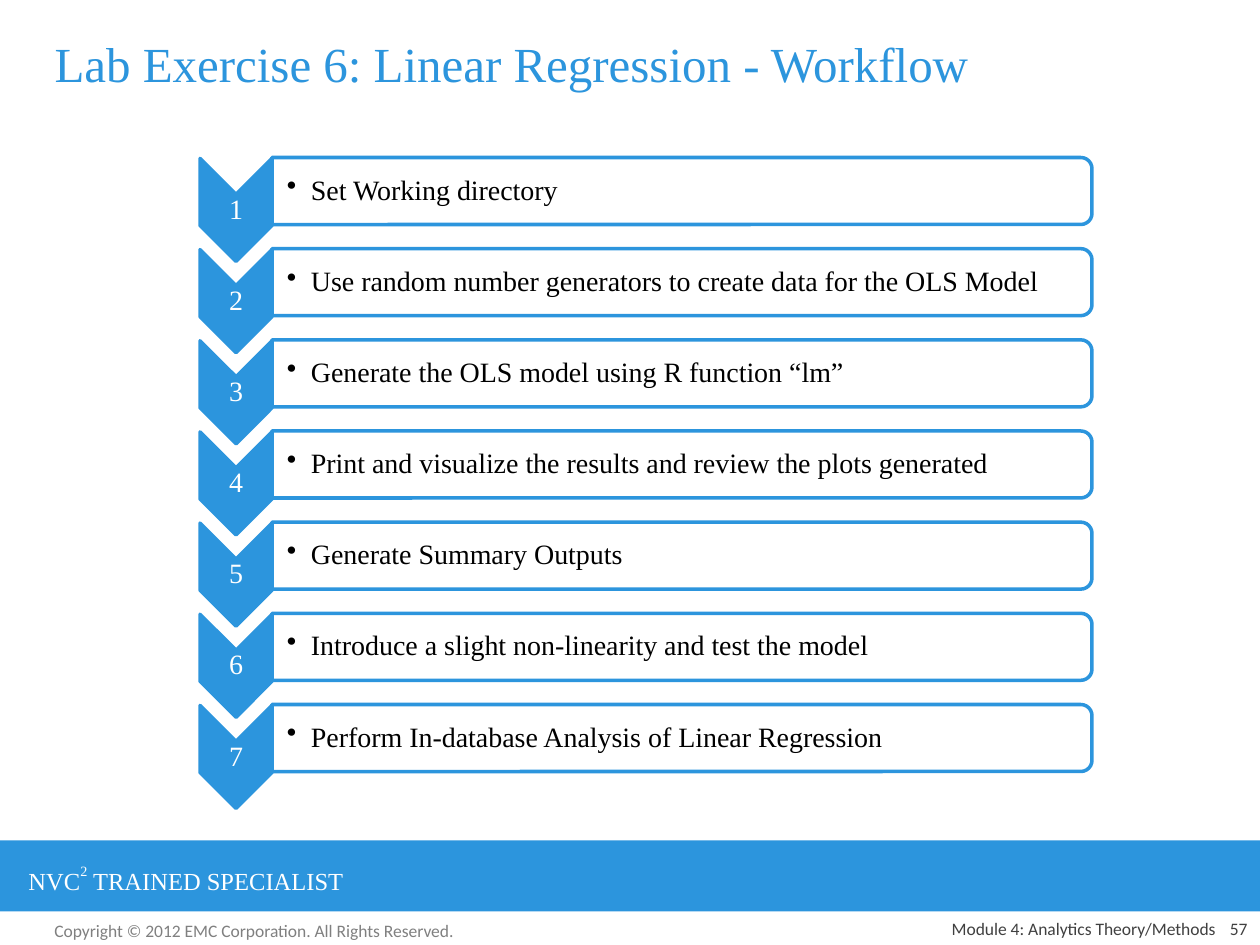
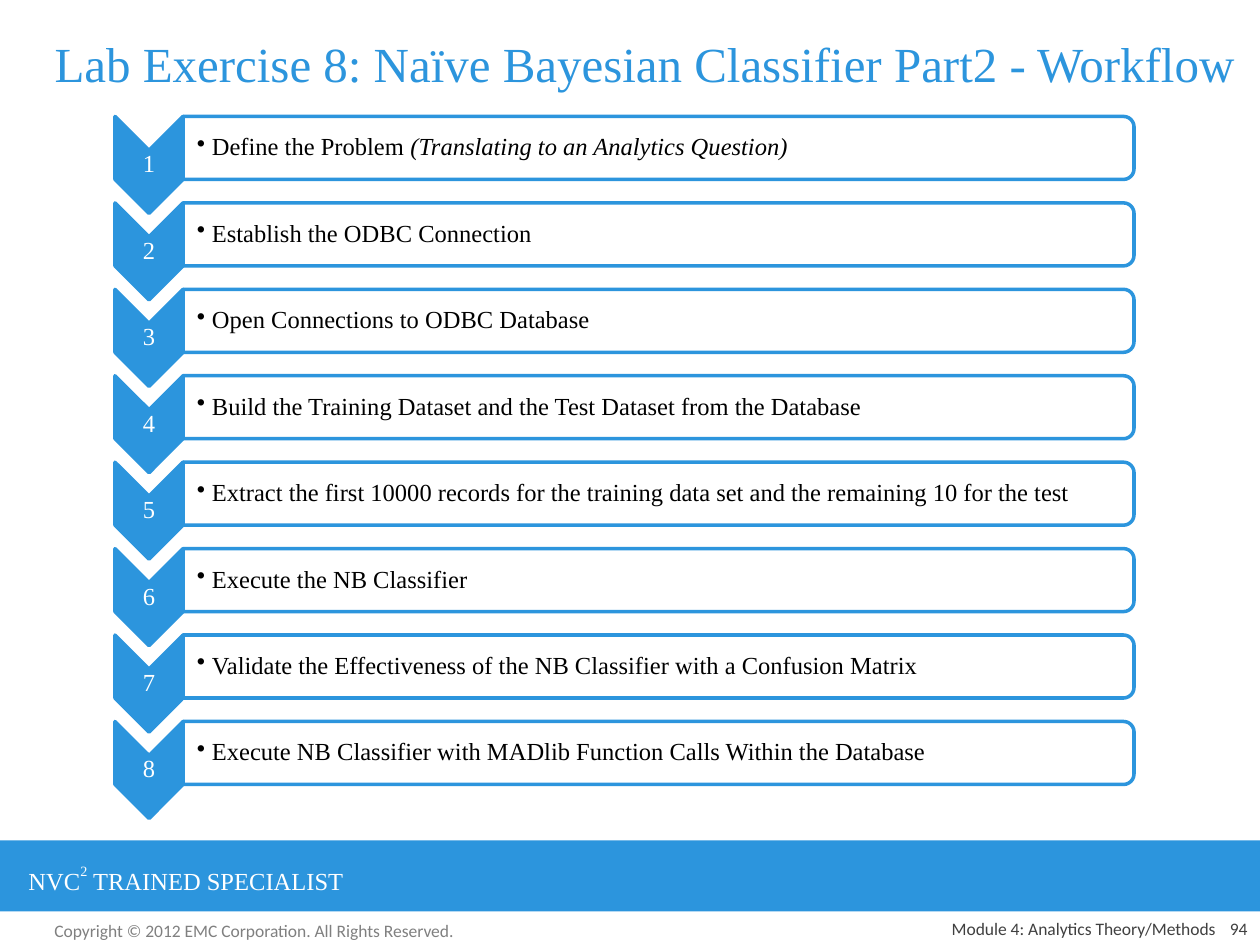
"""Build two lab workflow slides: numbered chevrons beside step boxes, over a shared footer band."""
from lxml import etree
from pptx import Presentation
from pptx import util as u
from pptx.dml.color import RGBColor
from pptx.enum import shapes, text
from pptx.oxml.ns import qn

PX = 914400 / 126
BLUE = RGBColor(0x2C, 0x95, 0xDD)
WHITE = RGBColor(0xFF, 0xFF, 0xFF)
BLACK = RGBColor(0, 0, 0)
GREY = RGBColor(0x80, 0x80, 0x80)
DARK_GREY = RGBColor(0x40, 0x40, 0x40)
SERIF, SANS = "Times New Roman", "Calibri"
LEFT, CENTER, RIGHT = text.PP_ALIGN.LEFT, text.PP_ALIGN.CENTER, text.PP_ALIGN.RIGHT
TOP, MIDDLE, BOTTOM = text.MSO_ANCHOR.TOP, text.MSO_ANCHOR.MIDDLE, text.MSO_ANCHOR.BOTTOM

WORKFLOWS = [
    dict(title="Lab Exercise 6: Linear Regression - Workflow", title_width=1166, page="57",
         size=16, chevron=(103, 72), chevron_x=236, first_y=210, last_y=757,
         box=(820, 67), box_left=272, rise=19, inset=15, hang=24,
         steps=[["Set Working directory"],
                ["Use random number generators to create data for the OLS Model"],
                ["Generate the OLS model using R function “lm”"],
                ["Print and visualize the results and review the plots generated"],
                ["Generate Summary Outputs"],
                ["Introduce a slight non-linearity and test the model"],
                ["Perform In-database Analysis of Linear Regression"]]),
    dict(title="Lab Exercise 8: Naïve Bayesian Classifier Part2 - Workflow", title_width=1218, page="94",
         size=14, chevron=(97, 68), chevron_x=149, first_y=165, last_y=770,
         box=(951, 63), box_left=183, rise=17, inset=14, hang=15,
         steps=[["Define the Problem ", "(Translating to an Analytics Question)"],
                ["Establish the ODBC Connection"],
                ["Open Connections to ODBC Database"],
                ["Build the Training Dataset and the Test Dataset from the Database"],
                ["Extract the first 10000 records for the training data set and the remaining 10 for the test"],
                ["Execute the NB Classifier"],
                ["Validate the Effectiveness of the NB Classifier with a Confusion Matrix"],
                ["Execute NB Classifier with MADlib Function Calls Within the Database"]]),
]


def write(holder, box, pieces, size, color, face=SERIF, align=LEFT, anchor=TOP, insets=None):
    """Place a text holder, fill its first paragraph and return that paragraph."""
    for side, px in zip(("left", "top", "width", "height"), box):
        setattr(holder, side, round(px * PX))
    frame = holder.text_frame
    settings = dict(word_wrap=True, auto_size=text.MSO_AUTO_SIZE.NONE, vertical_anchor=anchor)
    if insets:
        for side, px in zip(("left", "top", "right", "bottom"), insets):
            settings["margin_" + side] = round(px * PX)
    for name, value in settings.items():
        setattr(frame, name, value)
    paragraph = frame.paragraphs[0]
    paragraph.alignment = align
    for piece in pieces:
        run = paragraph.add_run()
        run.text = piece
        for name, value in dict(size=u.Pt(size), name=face).items():
            setattr(run.font, name, value)
        run.font.color.rgb = color
    return paragraph


def draw(slide, preset, center, size, fill, rotation=0):
    """Add a blue-outlined preset shape around a centre point."""
    (x, y), (width, height) = center, size
    shape = slide.shapes.add_shape(preset, *(round(v * PX) for v in (x - width / 2, y - height / 2, width, height)))
    shape.rotation = rotation
    shape.shadow.inherit = False
    shape.fill.solid()
    shape.fill.fore_color.rgb = fill
    shape.line.color.rgb = BLUE
    shape.line.width = u.Pt(2)
    return shape


deck = Presentation()
deck.slide_width, deck.slide_height = round(1260 * PX), round(945 * PX)

for flow in WORKFLOWS:
    slide = deck.slides.add_slide(deck.slide_layouts[5])
    write(slide.shapes.title, (42, 10, flow["title_width"], 105), [flow["title"]], 28, BLUE, anchor=MIDDLE)

    band = draw(slide, shapes.MSO_SHAPE.RECTANGLE, (630, 876), (1260, 71), BLUE)
    band.line.fill.background()
    program = write(slide.shapes.add_textbox(0, 0, 0, 0), (16, 856, 466, 43),
                    ["NVC", "2", " TRAINED SPECIALIST"], 14, WHITE)
    program.runs[1]._r.get_or_add_rPr().set("baseline", "56000")

    for box, words, color, align, anchor in [
        ((42, 914, 431, 34), "Copyright © 2012 EMC Corporation. All Rights Reserved.", GREY, LEFT, TOP),
        ((651, 914, 577, 31), "Module 4: Analytics Theory/Methods", DARK_GREY, RIGHT, BOTTOM),
        ((1197, 914, 63, 31), flow["page"], DARK_GREY, RIGHT, BOTTOM),
    ]:
        write(slide.shapes.add_textbox(0, 0, 0, 0), box, [words], 10, color, SANS, align, anchor)

    length, depth = flow["box"]
    chevron_width = flow["chevron"][1]
    pitch = (flow["last_y"] - flow["first_y"]) / (len(flow["steps"]) - 1)
    for index, step in enumerate(flow["steps"]):
        chevron_y = flow["first_y"] + index * pitch
        box_y = chevron_y - flow["rise"]
        draw(slide, shapes.MSO_SHAPE.CHEVRON, (flow["chevron_x"], chevron_y), flow["chevron"], BLUE, 90)
        number = write(slide.shapes.add_textbox(0, 0, 0, 0),
                       (flow["chevron_x"] - chevron_width / 2, chevron_y - 15, chevron_width, 30),
                       [str(index + 1)], flow["size"], WHITE, align=CENTER, anchor=MIDDLE, insets=(1, 1, 1, 1))
        number.line_spacing = 0.9

        panel = draw(slide, shapes.MSO_SHAPE.ROUND_2_SAME_RECTANGLE,
                     (flow["box_left"] + length / 2, box_y), (depth, length), WHITE, 90)
        white = panel.fill._xPr.find(qn("a:solidFill"))[0]
        etree.SubElement(white, qn("a:alpha"), val="90000")

        label = write(slide.shapes.add_textbox(0, 0, 0, 0),
                      (flow["box_left"], box_y - depth / 2 + 3, length - 3, depth - 6),
                      step, flow["size"], BLACK, anchor=MIDDLE, insets=(flow["inset"], 1, 1, 1))
        label.level = 1
        label.line_spacing = 0.9
        bullet = label._p.get_or_add_pPr()
        hang = round(flow["hang"] * PX)
        bullet.set("marL", str(hang))
        bullet.set("indent", str(-hang))
        etree.SubElement(bullet, qn("a:buChar"), char="•")
        for remark in label.runs[1:]:
            remark.font.italic = True

deck.save("out.pptx")
